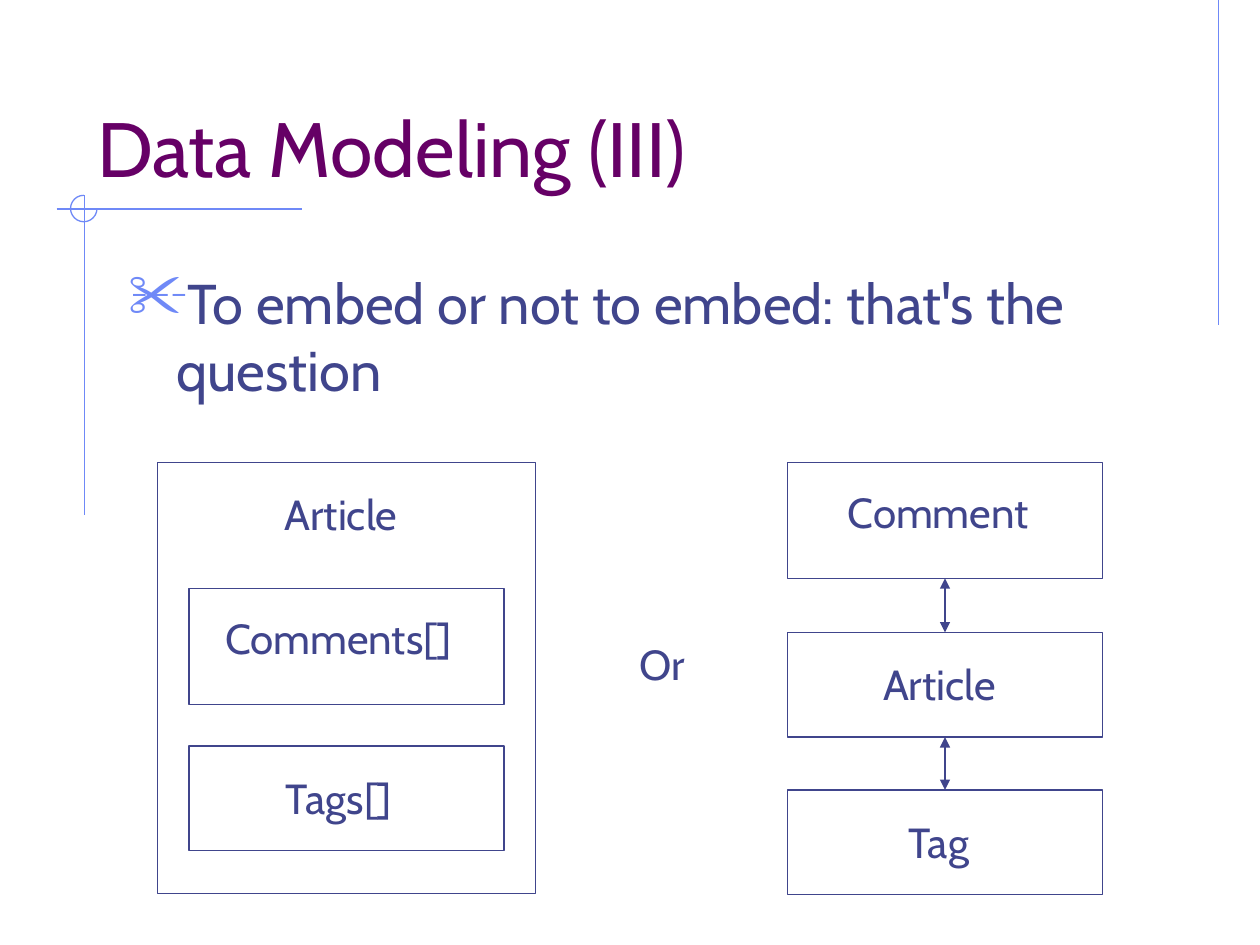
from pptx import Presentation
from pptx.dml.color import RGBColor
from pptx.enum.shapes import MSO_CONNECTOR as Connector, MSO_SHAPE as Shape
from pptx.enum.text import MSO_ANCHOR as Anchor, MSO_AUTO_SIZE as AutoSize, PP_ALIGN as Align
from pptx.oxml.ns import qn
from pptx.util import Inches, Pt
from lxml import etree

INDIGO = RGBColor(0x40, 0x45, 0x8C)
PURPLE = RGBColor(0x66, 0x00, 0x66)
SKY = RGBColor(0x6F, 0x89, 0xF7)
FONT = "Cabin"


def add_span(para, text, size, color):
    span = para.add_run()
    span.text = text
    span.font.name = FONT
    span.font.size = Pt(size)
    span.font.color.rgb = color


def add_line(page, start, end, color):
    line = page.shapes.add_connector(
        Connector.STRAIGHT, *[Inches(v) for v in (*start, *end)])
    line.line.color.rgb = color
    line.line.width = Pt(0.75)
    etree.SubElement(line._element.spPr, qn("a:effectLst"))
    return line


def add_outline(page, kind, left, top, width, height, color):
    shape = page.shapes.add_shape(
        kind, *[Inches(v) for v in (left, top, width, height)])
    shape.shadow.inherit = False
    shape.fill.background()
    shape.line.color.rgb = color
    shape.line.width = Pt(0.75)
    return shape


def add_label(page, text, left, top, width):
    box = page.shapes.add_textbox(
        Inches(left), Inches(top), Inches(width), Inches(0.5))
    box.text_frame.word_wrap = False
    box.text_frame.auto_size = AutoSize.SHAPE_TO_FIT_TEXT
    add_span(box.text_frame.paragraphs[0], text, 24, INDIGO)


def link(page, upper, lower):
    """Join two stacked boxes with a double-headed arrow."""
    arrow = add_line(page, (0, 0), (0, 0), INDIGO)
    arrow.begin_connect(upper, 2)
    arrow.end_connect(lower, 0)
    stroke = arrow.line._get_or_add_ln()
    for tag in ("a:headEnd", "a:tailEnd"):
        etree.SubElement(stroke, qn(tag), type="triangle")


def add_decoration(page, x, y):
    """Rules crossing at (x, y), a three-quarter arc and the right-hand rule."""
    add_line(page, (9.67, 0), (9.67, 2.58), SKY)
    add_line(page, (x - 0.22, y), (x + 1.73, y), SKY)
    add_line(page, (x, y - 0.11), (x, 4.09), SKY)
    arc = add_outline(page, Shape.ARC, x - 0.11, y - 0.11, 0.21, 0.21, SKY)
    # Arc angles are in 60000ths of a degree, adjustments in 100000ths
    arc.adjustments[0] = 0
    arc.adjustments[1] = 270 * 0.6


def add_title(page, left, top, width, height):
    title = page.shapes.title
    title.left, title.top = Inches(left), Inches(top)
    title.width, title.height = Inches(width), Inches(height)
    frame = title.text_frame
    frame.vertical_anchor = Anchor.BOTTOM
    frame.auto_size = AutoSize.NONE
    para = frame.paragraphs[0]
    para.alignment = Align.LEFT
    add_span(para, "Data Modeling (III)", 44, PURPLE)


def add_question(page, left, top, width, height):
    box = page.shapes.add_textbox(
        Inches(left), Inches(top), Inches(width), Inches(height))
    box.text_frame.word_wrap = True
    para = box.text_frame.paragraphs[0]
    para.space_before = Pt(8)
    add_span(para, "To embed or not to embed: that's the question", 32, INDIGO)
    # Hanging scissors bullet
    props = para._p.get_or_add_pPr()
    props.set("marL", str(Inches(0.38)))
    props.set("indent", str(-Inches(0.38)))
    bullet_color = etree.SubElement(props, qn("a:buClr"))
    etree.SubElement(bullet_color, qn("a:srgbClr"), val=str(SKY))
    etree.SubElement(props, qn("a:buSzPct"), val="110000")
    etree.SubElement(props, qn("a:buChar"), char="✂")


def add_embedded_model(page, left, top, width, height):
    """Article box that holds its comments and tags."""
    add_outline(page, Shape.RECTANGLE, left, top, width, height, INDIGO)
    add_label(page, "Article", left + 0.91, top + 0.16, 1.19)
    parts = [("Comments[]", 1, 0.92, 0.19, 0.14, 2.13),
             ("Tags[]", 2.25, 0.83, 0.67, 0.16, 1.15)]
    for text, offset, part_height, dx, dy, label_width in parts:
        x, y = left + 0.25, top + offset
        add_outline(page, Shape.RECTANGLE, x, y, width - 0.5, part_height, INDIGO)
        add_label(page, text, x + dx, y + dy, label_width)


def add_linked_model(page, left, top, width):
    """Separate boxes joined by arrows."""
    parts = [("Comment", 0, 0.92, 0.38, 0.14, 1.75),
             ("Article", 1.35, 0.83, 0.66, 0.16, 1.19),
             ("Tag", 2.6, 0.83, 0.86, 0.16, 0.77)]
    boxes = []
    for text, offset, height, dx, dy, label_width in parts:
        y = top + offset
        boxes.append(add_outline(
            page, Shape.RECTANGLE, left, y, width, height, INDIGO))
        add_label(page, text, left + dx, y + dy, label_width)
    for upper, lower in zip(boxes, boxes[1:]):
        link(page, upper, lower)


def main():
    deck = Presentation()
    deck.slide_width, deck.slide_height = Inches(10), Inches(7.5)
    page = deck.slides.add_slide(deck.slide_layouts[5])
    add_decoration(page, 0.67, 1.66)
    add_title(page, 0.67, 0.33, 8.5, 1.25)
    add_question(page, 0.92, 2.08, 8.5, 1.25)
    add_embedded_model(page, 1.25, 3.67, 3, 3.42)
    add_linked_model(page, 6.25, 3.67, 2.5)
    add_label(page, "Or", 4.98, 5.02, 0.6)
    deck.save("out.pptx")


if __name__ == "__main__":
    main()
